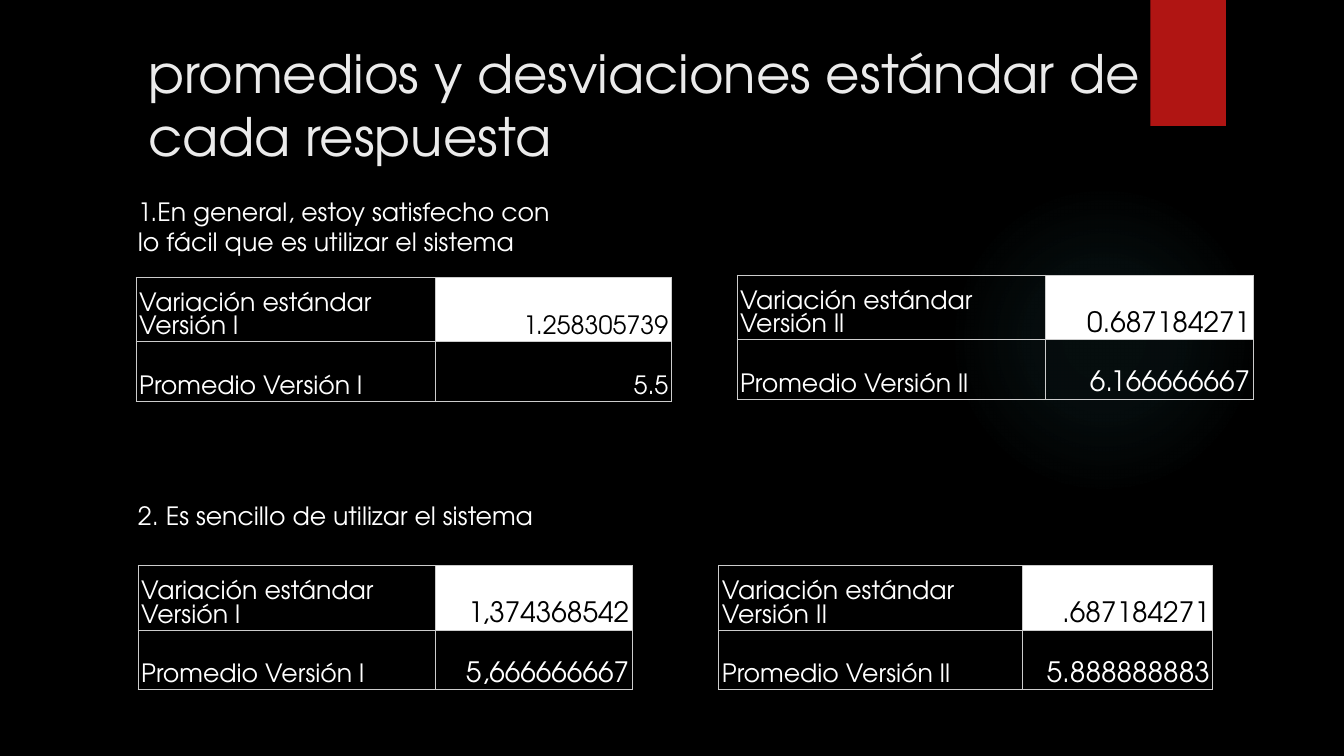
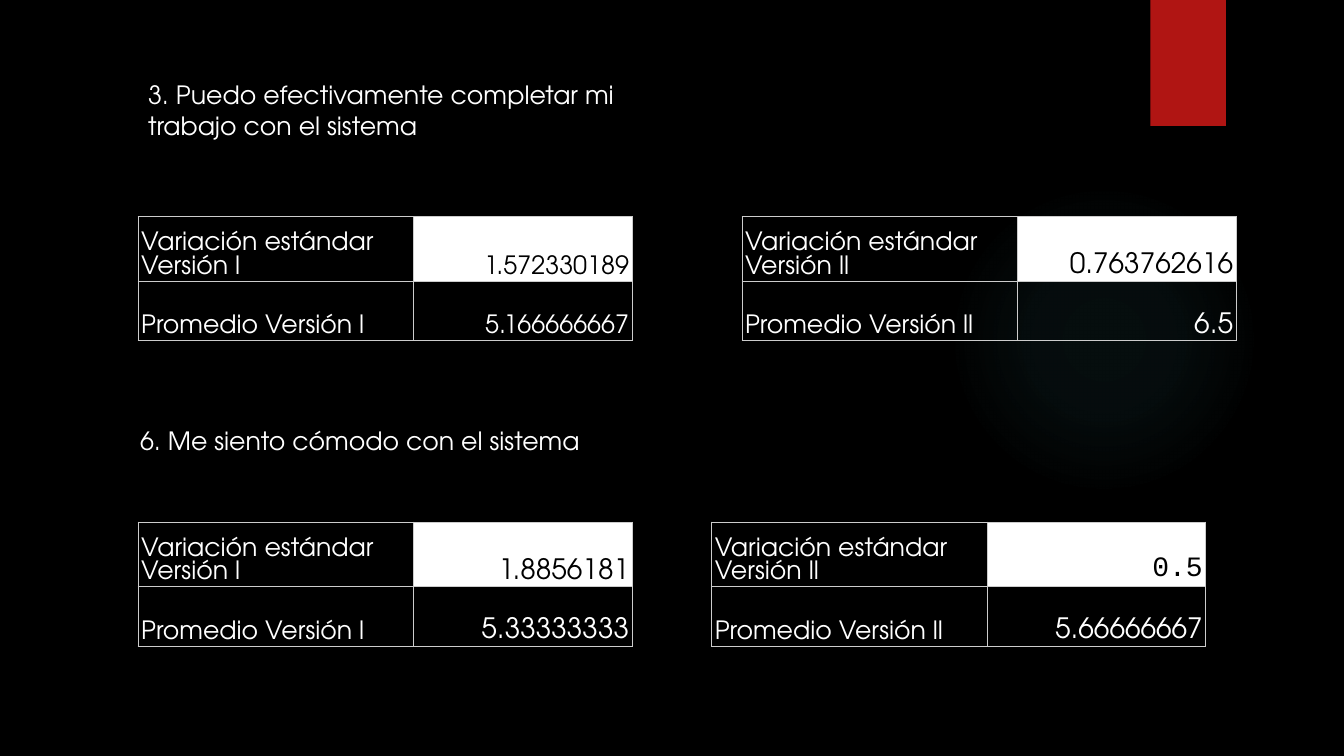
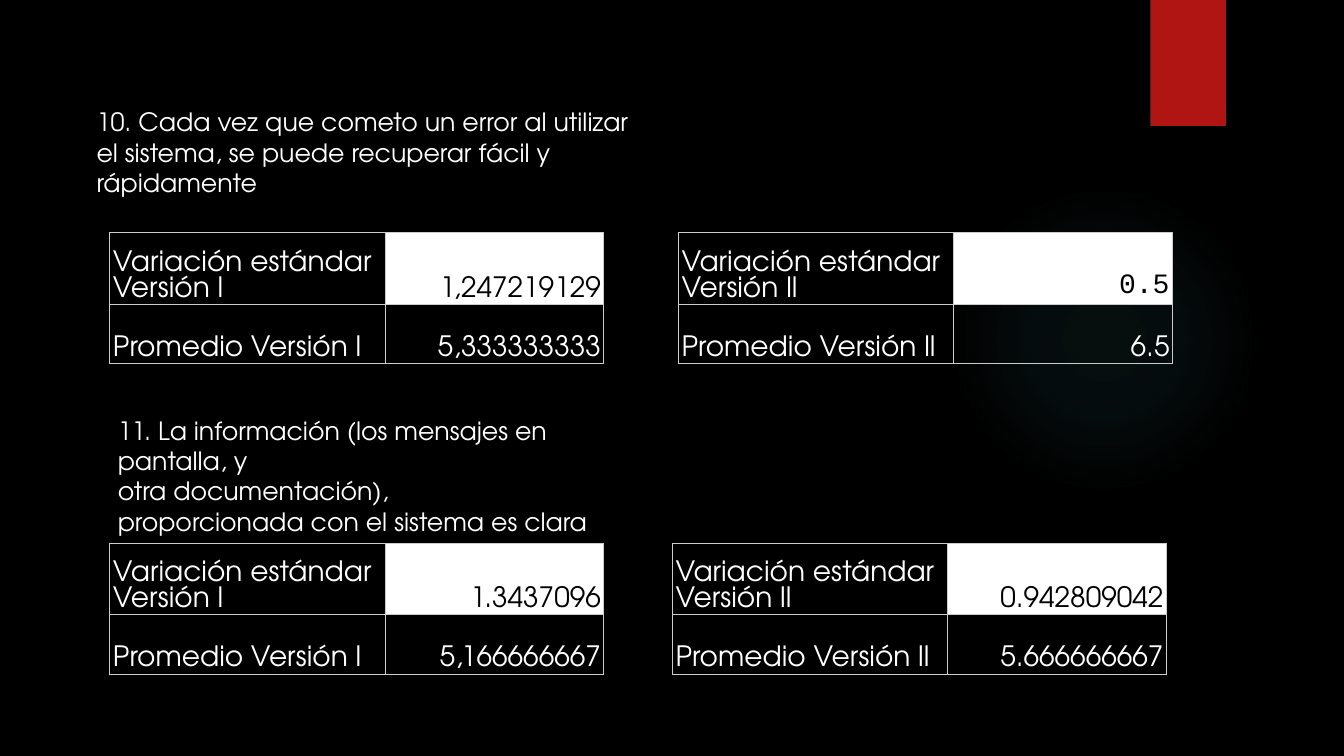
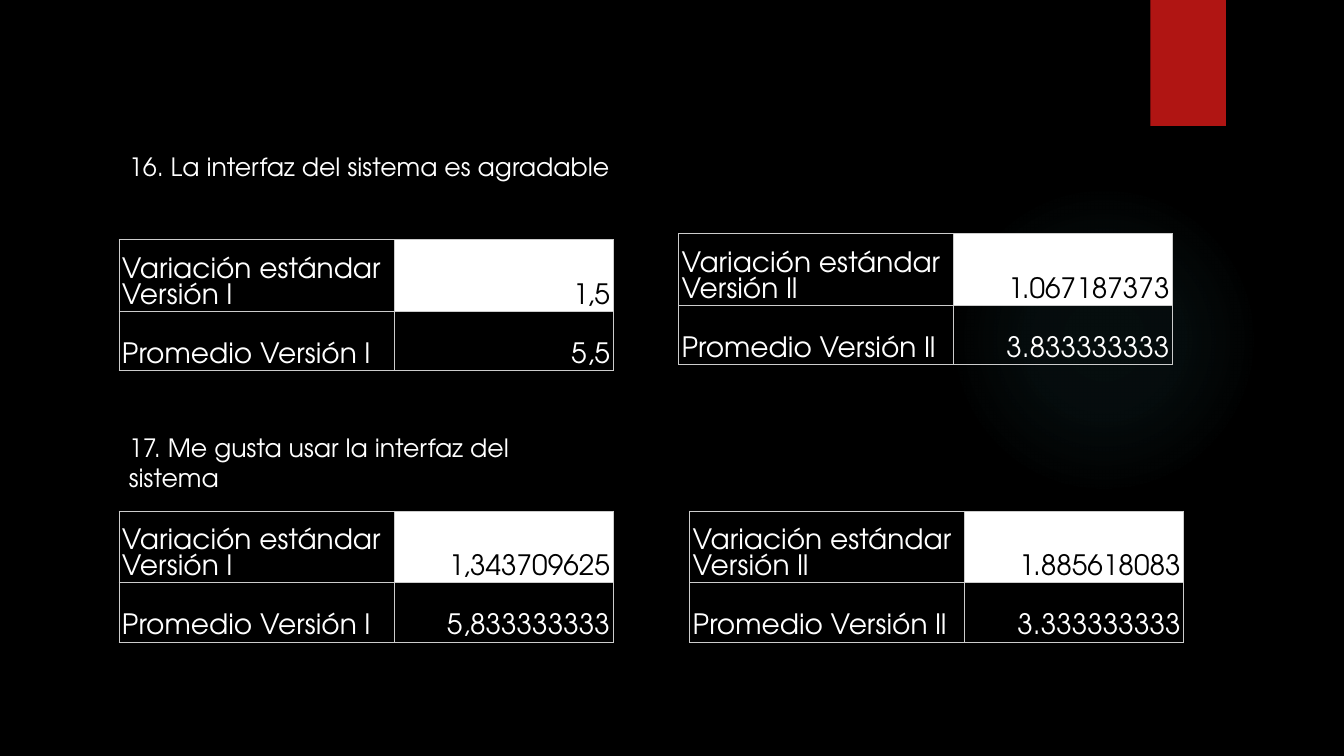
from lxml import etree
from pptx import Presentation
from pptx.dml.color import RGBColor as Rgb
from pptx.enum.shapes import MSO_SHAPE as Shape
from pptx.enum.text import MSO_ANCHOR as Anchor, PP_ALIGN as Align
from pptx.oxml import parse_xml
from pptx.util import Inches, Pt

THEME = {
    "back": "000000", "red": "B01513", "glow": "50B9C1", "title": "EBEBEB",
    "light": "FFFFFF", "dark": "000000", "line": "CCCCCC",
    "font": "TeX Gyre Adventor", "mono": "Courier New",
    "head": 37.8, "body": 18, "large": 20,
}
NS = "http://schemas.openxmlformats.org/drawingml/2006/main"
GLOW = ((0, 7), (36, 6), (69, 0))
COLS = (2.73, 2.17)
TITLE = "promedios y desviaciones estándar de cada respuesta"
ONE = ("Variación estándar Versión l", "Promedio Versión l")
TWO = ("Variación estándar Versión ll", "Promedio Versión ll")
MIX = ("Variación estándar Versión II", "Promedio Versión ll")
BODY, LARGE = THEME["body"], THEME["large"]
SMALL, MIXED, BIG = (BODY, BODY), (BODY, LARGE), (LARGE, LARGE)
LOW = 0.59

SLIDES = [
    {
        "title": TITLE,
        "asks": [
            ((1.27, 1.9, 4.4, 0.71), ["1.En general, estoy satisfecho con lo fácil que es utilizar el sistema"]),
            ((1.27, 4.91, 4.17, 0.4), ["2. Es sencillo de utilizar el sistema"]),
        ],
        "grids": [
            ((1.35, 2.75), (2.97, 2.34), 0.64, SMALL, ONE, ("1.258305739", "5.5")),
            ((7.31, 2.73), (3.06, 2.06), 0.64, MIXED, TWO, ("0.687184271", "6.166666667")),
            ((1.37, 5.61), (2.95, 1.95), 0.64, MIXED, ONE, ("1,374368542", "5,666666667")),
            ((7.13, 5.61), (3.01, 1.89), 0.64, MIXED, MIX, (".687184271", "5.888888883")),
        ],
    },
    {
        "asks": [
            ((1.37, 0.74, 4.9, 0.71), ["3. Puedo efectivamente completar mi trabajo con el sistema"]),
            ((1.29, 4.17, 4.62, 0.4), ["6. Me siento cómodo con el sistema"]),
        ],
        "grids": [
            ((1.37, 2.15), COLS, LOW, SMALL, ONE, ("1.572330189", "5.166666667")),
            ((7.36, 2.15), COLS, 0.64, MIXED, TWO, ("0.763762616", "6.5")),
            ((1.37, 5.18), COLS, LOW, MIXED, ONE, ("1.8856181", "5.33333333")),
            ((7.06, 5.18), COLS, 0.64, MIXED, TWO, ("0.5", "5.66666667")),
        ],
    },
    {
        "asks": [
            ((0.86, 1.01, 5.66, 0.71), ["10. Cada vez que cometo un error al utilizar el sistema, se puede recuperar fácil y rápidamente"]),
            ((1.07, 4.07, 4.94, 1.01), [
                "11. La información (los mensajes en pantalla, y",
                "otra documentación),",
                "proporcionada con el sistema es clara",
            ]),
        ],
        "grids": [
            ((1.09, 2.31), COLS, 0.71, BIG, ONE, ("1,247219129", "5,333333333")),
            ((6.73, 2.31), COLS, 0.71, BIG, TWO, ("0.5", "6.5")),
            ((1.09, 5.39), COLS, 0.71, BIG, ONE, ("1.3437096", "5,166666667")),
            ((6.67, 5.39), COLS, 0.71, BIG, TWO, ("0.942809042", "5.666666667")),
        ],
    },
    {
        "asks": [
            ((1.18, 1.45, 5.66, 0.4), ["16. La interfaz del sistema es agradable"]),
            ((1.18, 4.24, 4.3, 0.4), ["17. Me gusta usar la interfaz del sistema"]),
        ],
        "grids": [
            ((1.18, 2.38), COLS, 0.71, BIG, ONE, ("1,5", "5,5")),
            ((6.73, 2.32), COLS, 0.71, BIG, TWO, ("1.067187373", "3.833333333")),
            ((1.18, 5.07), COLS, 0.71, BIG, ONE, ("1,343709625", "5,833333333")),
            ((6.84, 5.07), COLS, 0.71, BIG, TWO, ("1.885618083", "3.333333333")),
        ],
    },
]


def color(key):
    return Rgb.from_string(THEME[key])


def style(para, text, size, tone="light", face="font"):
    run = para.add_run()
    run.text = text
    for key, value in {"name": THEME[face], "size": Pt(size)}.items():
        setattr(run.font, key, value)
    run.font.color.rgb = color(tone)


def write(slide, box, lines, size, tone="light"):
    frame = slide.shapes.add_textbox(*map(Inches, box)).text_frame
    frame.word_wrap = True
    for n, line in enumerate(lines):
        para = frame.add_paragraph() if n else frame.paragraphs[0]
        style(para, line, size, tone)


def block(slide, kind, box):
    shape = slide.shapes.add_shape(kind, *map(Inches, box))
    shape.shadow.inherit = False
    shape.line.fill.background()
    shape.fill.solid()
    shape.fill.fore_color.rgb = color("red")
    return shape


def decor(slide):
    slide.background.fill.solid()
    slide.background.fill.fore_color.rgb = color("back")
    glow = block(slide, Shape.OVAL, (9.41, 1.83, 3.08, 3.08))
    stops = "".join(
        f'<a:gs pos="{pos * 1000}"><a:srgbClr val="{THEME["glow"]}">'
        f'<a:alpha val="{alpha * 1000}"/></a:srgbClr></a:gs>'
        for pos, alpha in GLOW
    )
    grad = parse_xml(
        f'<a:gradFill xmlns:a="{NS}" rotWithShape="1"><a:gsLst>{stops}</a:gsLst>'
        '<a:path path="circle"><a:fillToRect l="50000" t="50000" r="50000" b="50000"/>'
        '</a:path></a:gradFill>'
    )
    props = glow.fill._xPr
    props.replace(props.find(f"{{{NS}}}solidFill"), grad)
    block(slide, Shape.RECTANGLE, (11.41, 0, 0.75, 1.25))


def border(cell):
    props = cell._tc.get_or_add_tcPr()
    for side in "LRTB":
        line = etree.SubElement(props, f"{{{NS}}}ln{side}", w=str(Pt(0.75)))
        fill = etree.SubElement(line, f"{{{NS}}}solidFill")
        etree.SubElement(fill, f"{{{NS}}}srgbClr", val=THEME["line"])


def fill_cell(cell, text, size, value, lit):
    form = {
        "vertical_anchor": Anchor.BOTTOM,
        "margin_left": Inches(0.03), "margin_right": Inches(0.03),
        "margin_top": Inches(0.02), "margin_bottom": Inches(0.02),
    }
    for key, item in form.items():
        setattr(cell, key, item)
    border(cell)
    if lit:
        cell.fill.solid()
        cell.fill.fore_color.rgb = color("light")
    else:
        cell.fill.background()
    para = cell.text_frame.paragraphs[0]
    para.alignment = Align.RIGHT if value else Align.LEFT
    face = "mono" if text == "0.5" else "font"
    style(para, text, size, "dark" if lit else "light", face)


def grid(slide, spot, cols, high, sizes, names, values):
    rows = (high, LOW)
    box = (*spot, sum(cols), sum(rows))
    table = slide.shapes.add_table(2, 2, *map(Inches, box)).table
    for key in ("first_row", "horz_banding"):
        setattr(table, key, False)
    for col, width in zip(table.columns, cols):
        col.width = Inches(width)
    for r, pair in enumerate(zip(names, values)):
        table.rows[r].height = Inches(rows[r])
        for c, text in enumerate(pair):
            fill_cell(table.cell(r, c), text, sizes[c], c == 1, (r, c) == (0, 1))


def main():
    deck = Presentation()
    deck.slide_width, deck.slide_height = Inches(13.33), Inches(7.5)
    for data in SLIDES:
        slide = deck.slides.add_slide(deck.slide_layouts[6])
        decor(slide)
        if "title" in data:
            write(slide, (1.37, 0.35, 11.21, 1.28), [data["title"]], THEME["head"], "title")
        for box, lines in data["asks"]:
            write(slide, box, lines, BODY)
        for item in data["grids"]:
            grid(slide, *item)
    deck.save("out.pptx")


if __name__ == "__main__":
    main()
